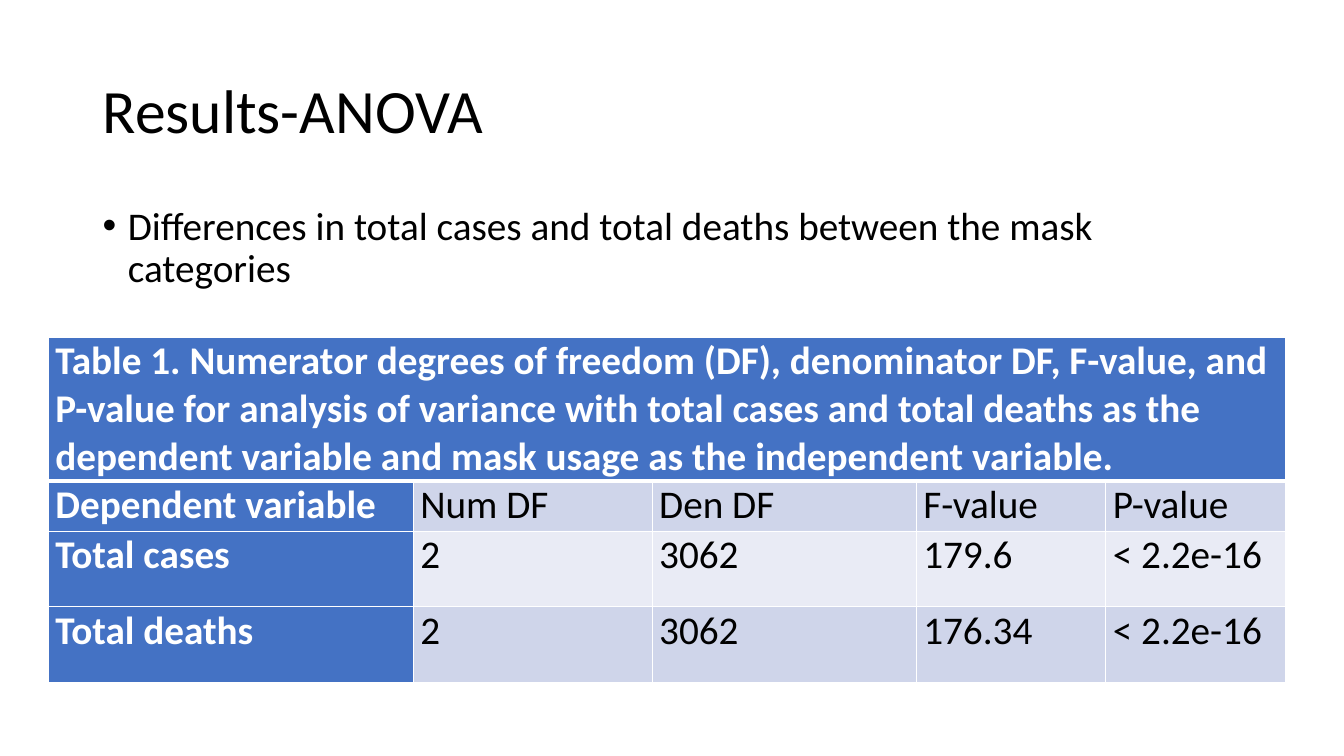
from lxml.etree import SubElement
from pptx import Presentation
from pptx.dml.color import RGBColor as RGB
from pptx.enum.text import MSO_ANCHOR as Anchor
from pptx.oxml.ns import qn
from pptx.util import Inches, Pt

COLORS = {"text": "000000", "light": "FFFFFF", "head": "4472C4",
          "band_dark": "CFD5EA", "band_light": "E9EBF5"}
FONT = "Calibri"
GRID_COLS, GRID_ROWS = 100, 75
SLIDE_W, SLIDE_H = Inches(13.33), Inches(7.5)

CAPTION = ("Table 1. Numerator degrees of freedom (DF), denominator DF, "
           "F-value, and P-value for analysis of variance with total cases "
           "and total deaths as the dependent variable and mask usage as the "
           "independent variable.")
ANOVA_ROWS = [
    ["Dependent variable", "Num DF", "Den DF", "F-value", "P-value"],
    ["Total cases", "2", "3062", "179.6", "< 2.2e-16"],
    ["Total deaths", "2", "3062", "176.34", "< 2.2e-16"],
]
COL_WIDTHS = [27.15, 17.78, 19.65, 14.1, 13.35]
ROW_HEIGHTS = [14.2, 5, 7.5, 7.5]


def cols(n):
    return int(SLIDE_W * n / GRID_COLS)


def rows(n):
    return int(SLIDE_H * n / GRID_ROWS)


def add_run(p, text, size, color="text", bold=False):
    r = p.add_run()
    r.text = text
    r.font.name = FONT
    r.font.size = Pt(size)
    r.font.bold = bold
    r.font.color.rgb = RGB.from_string(COLORS[color])


def add_text(s, left, top, width, height, text, size, anchor, bullet=False):
    tf = s.shapes.add_textbox(cols(left), rows(top), cols(width), rows(height)).text_frame
    tf.word_wrap = True
    tf.vertical_anchor = anchor
    p = tf.paragraphs[0]
    p.line_spacing = 0.9
    if bullet:
        pPr = p._p.get_or_add_pPr()
        pPr.set("marL", str(Inches(0.25)))
        pPr.set("indent", str(-Inches(0.25)))
        SubElement(pPr, qn("a:buFont"), typeface="Arial")
        SubElement(pPr, qn("a:buChar"), char="•")
    add_run(p, text, size)


def set_borders(cell, top=1, bottom=1):
    tcPr = cell._tc.get_or_add_tcPr()
    for side, width in (("L", 1), ("R", 1), ("T", top), ("B", bottom)):
        ln = SubElement(tcPr, qn(f"a:ln{side}"), w=str(Pt(width)))
        fill = SubElement(ln, qn("a:solidFill"))
        SubElement(fill, qn("a:srgbClr"), val=COLORS["light"])


def fill_cell(cell, text, fill, is_head):
    cell.margin_left = cell.margin_right = Inches(0.07)
    cell.margin_top = cell.margin_bottom = 0
    cell.fill.solid()
    cell.fill.fore_color.rgb = RGB.from_string(COLORS[fill])
    add_run(cell.text_frame.paragraphs[0], text, 28,
            "light" if is_head else "text", is_head)


def add_anova_table(s, left, top):
    table = s.shapes.add_table(
        len(ROW_HEIGHTS), len(COL_WIDTHS), cols(left), rows(top),
        cols(sum(COL_WIDTHS)), rows(sum(ROW_HEIGHTS))).table
    for column, width in zip(table.columns, COL_WIDTHS):
        column.width = cols(width)
    for row, height in zip(table.rows, ROW_HEIGHTS):
        row.height = rows(height)

    for i in range(len(ROW_HEIGHTS)):
        for j in range(len(COL_WIDTHS)):
            set_borders(table.cell(i, j), 3 if i == 1 else 1, 3 if i == 0 else 1)
    table.cell(0, 0).merge(table.cell(0, len(COL_WIDTHS) - 1))
    fill_cell(table.cell(0, 0), CAPTION, "head", True)
    for i, values in enumerate(ANOVA_ROWS, 1):
        band = "band_dark" if i % 2 else "band_light"
        for j, value in enumerate(values):
            fill_cell(table.cell(i, j), value, band if j else "head", j == 0)


def main():
    prs = Presentation()
    prs.slide_width, prs.slide_height = SLIDE_W, SLIDE_H
    s = prs.slides.add_slide(prs.slide_layouts[6])
    add_text(s, 6.9, 4, 86.25, 14.5, "Results-ANOVA", 44, Anchor.MIDDLE)
    add_text(s, 6.9, 20, 85.15, 15.1,
             "Differences in total cases and total deaths between the mask categories",
             28, Anchor.TOP, bullet=True)
    add_anova_table(s, 3.6, 33.5)
    prs.save("out.pptx")


if __name__ == "__main__":
    main()
